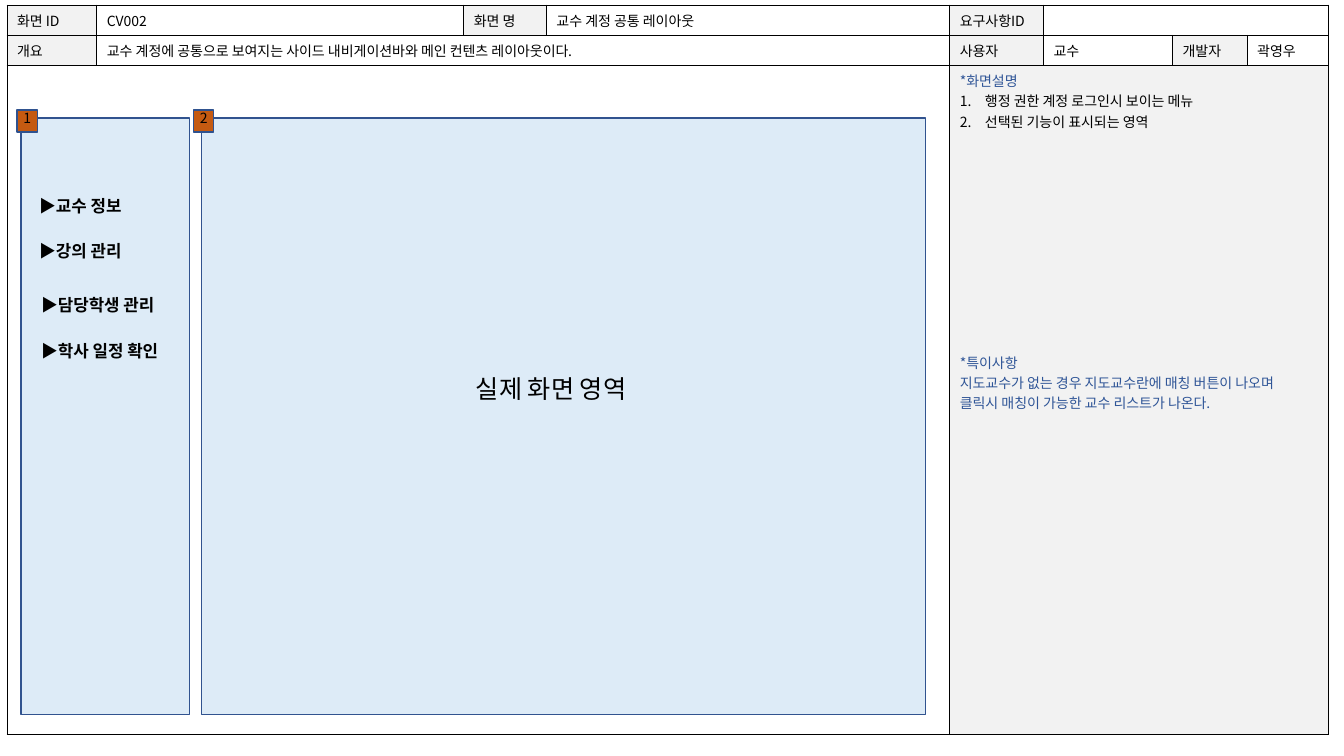
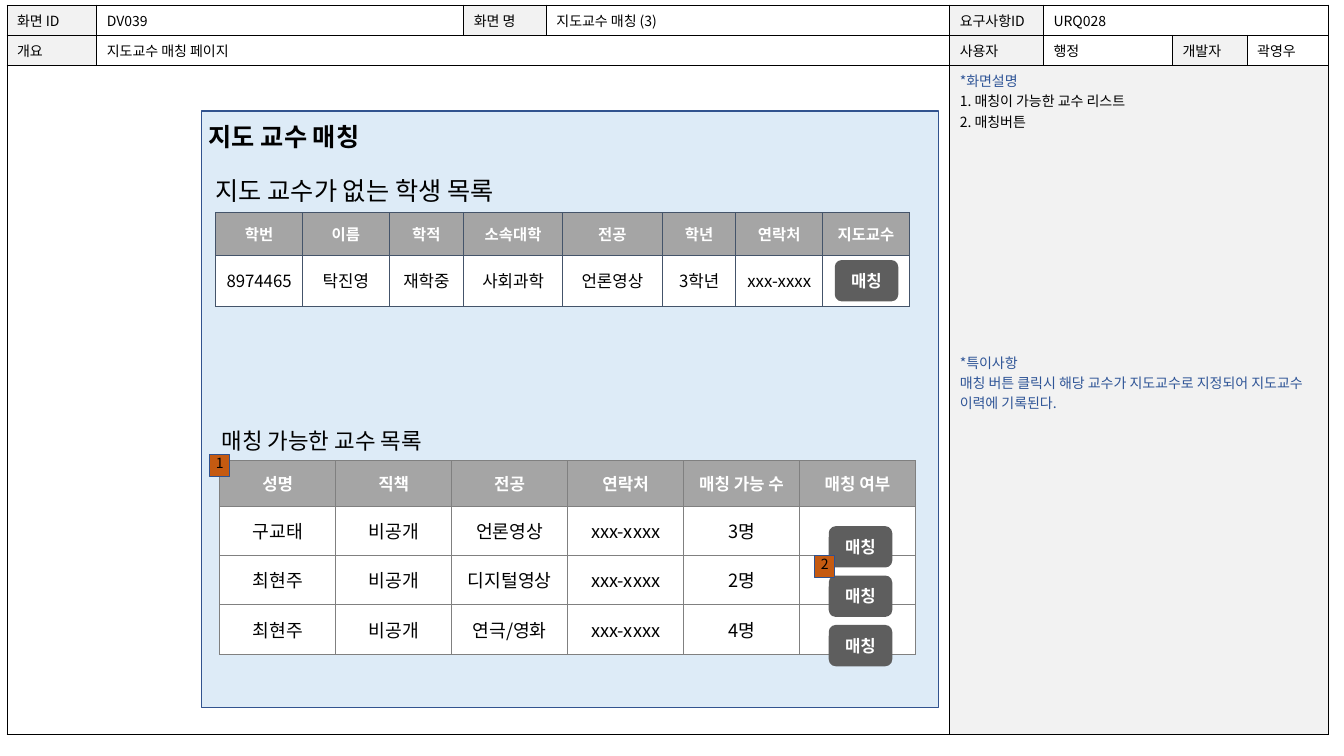
"""Build two screen-specification slides that share one form table."""
from lxml import etree
from pptx import Presentation, util as u
from pptx.dml.color import RGBColor
from pptx.enum import shapes, text
from pptx.oxml.ns import qn

FONT = "Noto Sans CJK KR"
BLACK, WHITE, PALE, BLUE = "000000", "FFFFFF", "F2F2F2", "2F5597"
PANEL, EDGE, GREY, DARK = "DDEBF7", "31538F", "A5A5A5", "5E5E5E"
RUST, RIM = "C55A11", "2F528F"
LEFT, MID = text.PP_ALIGN.LEFT, text.PP_ALIGN.CENTER
TOP, CORE = text.MSO_ANCHOR.TOP, text.MSO_ANCHOR.MIDDLE

FORM_COLS = [0.89, 3.64, 0.82, 4, 0.93, 1.28, 0.74, 0.81]
FORM_ROWS = [0.27, 0.29, 6.64]
SPANS = [(0, 5, 7), (1, 1, 3), (2, 0, 3), (2, 4, 7)]
LABELS = {(0, 0): "화면 ID", (0, 2): "화면 명", (0, 4): "요구사항ID",
          (1, 0): "개요", (1, 4): "사용자", (1, 6): "개발자"}
NOTE = (2, 4)

LAYOUT = {
    "form": {(0, 1): "CV002", (0, 3): "교수 계정 공통 레이아웃",
             (1, 1): "교수 계정에 공통으로 보여지는 사이드 내비게이션바와 메인 컨텐츠 레이아웃이다.",
             (1, 5): "교수", (1, 7): "곽영우"},
    "steps": ["행정 권한 계정 로그인시 보이는 메뉴", "선택된 기능이 표시되는 영역"],
    "auto": True,
    "remarks": ["지도교수가 없는 경우 지도교수란에 매칭 버튼이 나오며",
                "클릭시 매칭이 가능한 교수 리스트가 나온다."],
    "panels": [(2, 1.17, 7.18, 5.92), (0.21, 1.17, 1.67, 5.92)],
    "badges": [("1", 0.17, 1.09), ("2", 1.92, 1.09)],
}
MENU = [("▶교수 정보", 0.29, 1.89), ("▶강의 관리", 0.29, 2.34),
        ("▶담당학생 관리", 0.31, 2.87), ("▶학사 일정 확인", 0.31, 3.33)]

MATCH = {
    "form": {(0, 1): "DV039", (0, 3): "지도교수 매칭 (3)", (0, 5): "URQ028",
             (1, 1): "지도교수 매칭 페이지", (1, 5): "행정", (1, 7): "곽영우"},
    "steps": ["1. 매칭이 가능한 교수 리스트", "2. 매칭버튼"],
    "auto": False,
    "remarks": ["매칭 버튼 클릭시 해당 교수가 지도교수로 지정되어 지도교수 이력에 기록된다."],
    "panels": [(2, 1.1, 7.31, 5.92)],
    "badges": [("2", 8.08, 5.51), ("1", 2.08, 4.51)],
}
PUPILS = [["학번", "이름", "학적", "소속대학", "전공", "학년", "연락처", "지도교수"],
          ["8974465", "탁진영", "재학중", "사회과학", "언론영상", "3학년", "xxx-xxxx", ""]]
TUTORS = [["성명", "직책", "전공", "연락처", "매칭 가능 수", "매칭 여부"],
          ["구교태", "비공개", "언론영상", "xxx-xxxx", "3명", ""],
          ["최현주", "비공개", "디지털영상", "xxx-xxxx", "2명", ""],
          ["최현주", "비공개", "연극/영화", "xxx-xxxx", "4명", ""]]
BUTTONS = [(8.28, 2.58)] + [(8.22, 5.22 + 0.49 * i) for i in range(3)]


def tint(code):
    return RGBColor.from_string(code)


def inch(*nums):
    return [u.Inches(n) for n in nums]


def write(para, words, size, color=BLACK, bold=False, align=LEFT):
    para.alignment = align
    if not words:
        etree.SubElement(para._p, qn("a:endParaRPr"), sz=str(size * 100))
        return
    run = para.add_run()
    run.text = words
    font = run.font
    font.size, font.bold, font.name = u.Pt(size), bold, FONT
    font.color.rgb = tint(color)
    etree.SubElement(run._r.get_or_add_rPr(), qn("a:ea"), typeface=FONT)


def pad(frame, side, top, anchor):
    frame.margin_left = frame.margin_right = u.Inches(side)
    frame.margin_top = frame.margin_bottom = u.Inches(top)
    frame.vertical_anchor = anchor


def label(slide, words, box, size, bold=False, align=LEFT, anchor=CORE, side=0, top=0):
    frame = slide.shapes.add_textbox(*inch(*box)).text_frame
    frame.word_wrap = True
    pad(frame, side, top, anchor)
    write(frame.paragraphs[0], words, size, bold=bold, align=align)


def block(slide, box, fill, line=None, kind=shapes.MSO_SHAPE.RECTANGLE):
    item = slide.shapes.add_shape(kind, *inch(*box))
    item.shadow.inherit = False
    item.fill.solid()
    item.fill.fore_color.rgb = tint(fill)
    if line:
        item.line.color.rgb = tint(line)
        item.line.width = u.Pt(1)
    else:
        item.line.fill.background()
    return item


def badge(slide, mark, x, y):
    frame = block(slide, (x, y, 0.2, 0.22), RUST, RIM).text_frame
    pad(frame, 0, 0, TOP)
    write(frame.paragraphs[0], mark, 10, align=MID)


def button(slide, x, y):
    item = block(slide, (x, y, 0.63, 0.41), DARK, kind=shapes.MSO_SHAPE.ROUNDED_RECTANGLE)
    pad(item.text_frame, 0.1, 0.1, CORE)
    write(item.text_frame.paragraphs[0], "매칭", 12, WHITE, True, MID)


def style(cell, fill, line):
    props = cell._tc.get_or_add_tcPr()
    for side in ("lnL", "lnR", "lnT", "lnB"):
        edge = etree.SubElement(props, qn("a:" + side), w=str(u.Pt(0.75)))
        paint = etree.SubElement(edge, qn("a:solidFill"))
        etree.SubElement(paint, qn("a:srgbClr"), val=line)
    cell.fill.solid()
    cell.fill.fore_color.rgb = tint(fill)


def grid(slide, x, y, cols, rows):
    size = len(rows), len(cols)
    table = slide.shapes.add_table(*size, *inch(x, y, sum(cols), sum(rows))).table
    table.first_row = table.horz_banding = False
    for col, width in zip(table.columns, cols):
        col.width = u.Inches(width)
    for row, height in zip(table.rows, rows):
        row.height = u.Inches(height)
    return table


def listing(slide, x, y, cols, rows, data, line, sizes):
    table = grid(slide, x, y, cols, rows)
    for r, row in enumerate(data):
        head = r == 0
        for c, words in enumerate(row):
            cell = table.cell(r, c)
            style(cell, GREY if head else WHITE, line)
            pad(cell, 0.1, 0.1, CORE)
            write(cell.text_frame.paragraphs[0], words, sizes[0 if head else 1],
                  WHITE if head else BLACK, head, MID)


def notes(frame, page):
    write(frame.paragraphs[0], "*화면설명", 10, BLUE)
    for step in page["steps"]:
        para = frame.add_paragraph()
        props = para._p.get_or_add_pPr()
        props.set("marL", str(u.Inches(0.25)))
        props.set("indent", str(u.Inches(-0.25)))
        if page["auto"]:
            etree.SubElement(props, qn("a:buAutoNum"), type="arabicPeriod")
        write(para, step, 10)
    para = frame.add_paragraph()
    para.space_before = u.Pt(158)
    write(para, "*특이사항", 10, BLUE)
    for remark in page["remarks"]:
        write(frame.add_paragraph(), remark, 10, BLUE)


def form(slide, page):
    table = grid(slide, 0.07, 0.05, FORM_COLS, FORM_ROWS)
    for row, first, last in SPANS:
        table.cell(row, first).merge(table.cell(row, last))
    words = {**LABELS, **page["form"]}
    for r in range(len(FORM_ROWS)):
        for c in range(len(FORM_COLS)):
            cell, key = table.cell(r, c), (r, c)
            style(cell, PALE if key in LABELS or key == NOTE else WHITE, BLACK)
            if key == NOTE:
                notes(cell.text_frame, page)
            else:
                write(cell.text_frame.paragraphs[0], words.get(key, ""), 10)


def start(deck, page, layout):
    slide = deck.slides.add_slide(deck.slide_layouts[layout])
    form(slide, page)
    for box in page["panels"]:
        block(slide, box, PANEL, EDGE)
    return slide


def finish(slide, page):
    for mark in page["badges"]:
        badge(slide, *mark)


def title(slide, words, box):
    item = slide.shapes.title
    item.left, item.top, item.width, item.height = inch(*box)
    pad(item.text_frame, 0, 0, CORE)
    write(item.text_frame.paragraphs[0], words, 18, bold=True)
    slide.shapes._spTree.append(item._element)


def main():
    deck = Presentation()
    deck.slide_width, deck.slide_height = inch(13.33, 7.5)

    slide = start(deck, LAYOUT, 6)
    for words, x, y in MENU:
        label(slide, words, (x, y, 2, 0.3), 12, True, anchor=TOP, side=0.1, top=0.05)
    finish(slide, LAYOUT)
    label(slide, "실제 화면 영역", (4.52, 3.6, 1.89, 0.44), 18, align=MID,
          anchor=TOP, side=0.1, top=0.1)

    slide = start(deck, MATCH, 5)
    title(slide, "지도 교수 매칭", (2.07, 1.15, 2.09, 0.41))
    label(slide, "지도 교수가 없는 학생 목록", (2.14, 1.68, 3.36, 0.41), 18)
    listing(slide, 2.14, 2.11, [0.86, 0.86, 0.74, 0.98, 0.99, 0.73, 0.86, 0.86],
            [0.42, 0.51], PUPILS, "44546A", (11, 12))
    label(slide, "매칭 가능한 교수 목록", (2.2, 4.17, 2.59, 0.41), 16)
    listing(slide, 2.18, 4.57, [1.15] * 6, [0.45] + [0.49] * 3,
            TUTORS, "808080", (12, 13))
    for spot in BUTTONS:
        button(slide, *spot)
    finish(slide, MATCH)
    deck.save("out.pptx")


if __name__ == "__main__":
    main()
